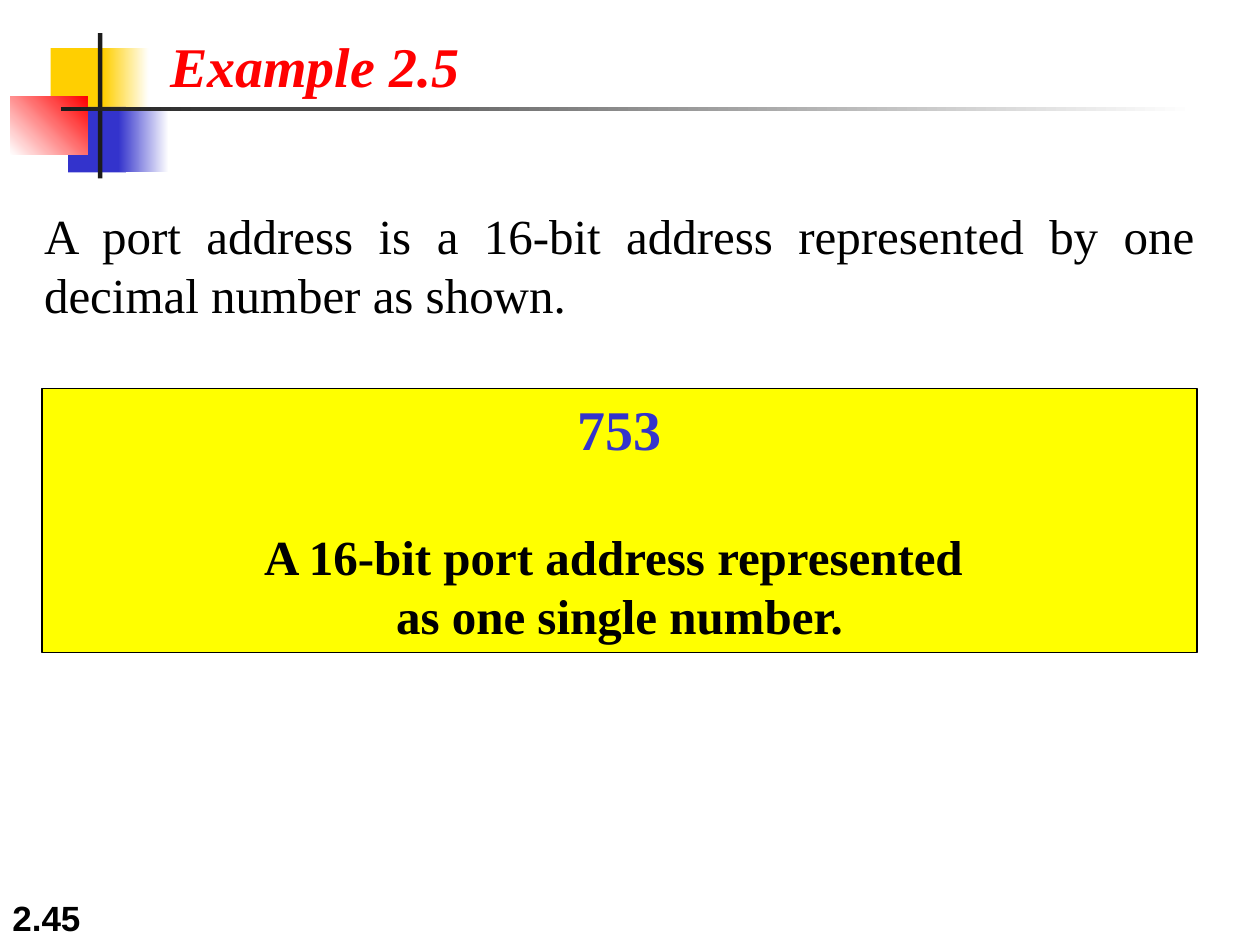
"""Build the Example 2.5 slide on port addresses."""
from pptx import Presentation
from pptx.dml.color import RGBColor
from pptx.enum import shapes, text
from pptx.oxml import xmlchemy as xc
from pptx.util import Pt

WHITE = RGBColor(0xFF, 0xFF, 0xFF)
BLACK = RGBColor(0x00, 0x00, 0x00)
DARK = RGBColor(0x1C, 0x1C, 0x1C)
RED = RGBColor(0xFF, 0x00, 0x00)
GOLD = RGBColor(0xFF, 0xCF, 0x01)
BLUE = RGBColor(0x33, 0x33, 0xCC)
YELLOW = RGBColor(0xFF, 0xFF, 0x00)
LEFT, CENTER, JUSTIFY = text.PP_ALIGN.LEFT, text.PP_ALIGN.CENTER, text.PP_ALIGN.JUSTIFY


class Deck:
    """Hold the text style and the current slide."""

    serif = "Times New Roman"
    sans = "Arial"

    def __init__(self, prs):
        self.s = prs.slides.add_slide(prs.slide_layouts[1])

    def rect(self, box, *colors, angle=0):
        """Draw a borderless rectangle, solid or with a two-colour gradient."""
        sp = self.s.shapes.add_shape(shapes.MSO_SHAPE.RECTANGLE, *map(Pt, box))
        sp.shadow.inherit = False
        sp.line.fill.background()
        if len(colors) == 1:
            sp.fill.solid()
            sp.fill.fore_color.rgb = colors[0]
        else:
            sp.fill.gradient()
            sp.fill.gradient_angle = angle
            for stop, color in zip(sp.fill.gradient_stops, colors):
                stop.color.rgb = color
        return sp

    def frame(self, sp, anchor=text.MSO_ANCHOR.TOP, wrap=True):
        """Set up the text frame of a shape."""
        tf = sp.text_frame
        tf.word_wrap = wrap
        tf.auto_size = text.MSO_AUTO_SIZE.NONE
        tf.vertical_anchor = anchor
        return tf

    def para(self, p, lines, size, color=BLACK, align=LEFT, font=serif, bold=True, italic=False):
        """Write lines of one style into a paragraph."""
        p.alignment = align
        p.space_before = Pt(0)
        for i, line in enumerate(lines):
            if i:
                p.add_line_break()
            r = p.add_run()
            r.text = line
            f = r.font
            f.name, f.size, f.bold, f.italic = font, Pt(size), bold, italic
            f.color.rgb = color

    def place(self, sp, box):
        """Move a placeholder to a box."""
        sp.left, sp.top, sp.width, sp.height = map(Pt, box)

    def title(self, box, line):
        """Fill the title placeholder."""
        sp = self.s.shapes.title
        self.place(sp, box)
        p = self.frame(sp, wrap=False).paragraphs[0]
        self.para(p, [line], 32, RED, italic=True)

    def body(self, box, line):
        """Fill the body placeholder with one unbulleted paragraph."""
        sp = self.s.placeholders[1]
        self.place(sp, box)
        p = self.frame(sp).paragraphs[0]
        self.para(p, [line], 28, align=JUSTIFY, bold=False)
        pPr = p._p.get_or_add_pPr()
        pPr.set("marL", "0")
        pPr.set("indent", "0")
        pPr.append(xc.OxmlElement("a:buNone"))

    def panel(self, box, head, lines):
        """Draw the outlined panel with a heading and its explanation."""
        sp = self.rect(box, YELLOW)
        sp.line.color.rgb = BLACK
        sp.line.width = Pt(0.75)
        tf = self.frame(sp)
        p = tf.paragraphs[0]
        self.para(p, [head], 32, BLUE, CENTER)
        p.space_after = Pt(37)
        self.para(tf.add_paragraph(), lines, 28, align=CENTER)

    def number(self, box, line):
        """Write the page number."""
        sp = self.s.shapes.add_textbox(*map(Pt, box))
        p = self.frame(sp, text.MSO_ANCHOR.BOTTOM).paragraphs[0]
        self.para(p, [line], 20, font=self.sans)


def main():
    """Compose and save the slide."""
    prs = Presentation()
    prs.slide_width, prs.slide_height = Pt(720), Pt(540)
    d = Deck(prs)
    d.number((0, 504, 150, 36), "2.45")
    d.rect((29, 27.5, 34.5, 37.5), GOLD)
    d.rect((59, 27.5, 26, 37.5), GOLD, WHITE)
    d.rect((39, 61, 33, 37.5), BLUE)
    d.rect((67.5, 61, 29, 37.5), BLUE, WHITE)
    d.rect((6, 55, 44, 33.5), WHITE, RED, angle=45)
    d.rect((56, 19, 2.5, 83), DARK)
    d.rect((35, 61, 648, 2.5), DARK, WHITE)
    d.title((90, 14.5, 180, 46), "Example 2.5")
    d.body(
        (18, 114, 672, 75),
        "A port address is a 16-bit address represented by one decimal number as shown.",
    )
    d.panel(
        (24, 222, 660, 151),
        "753",
        ["A 16-bit port address represented ", "as one single number."],
    )
    prs.save("out.pptx")


if __name__ == "__main__":
    main()
